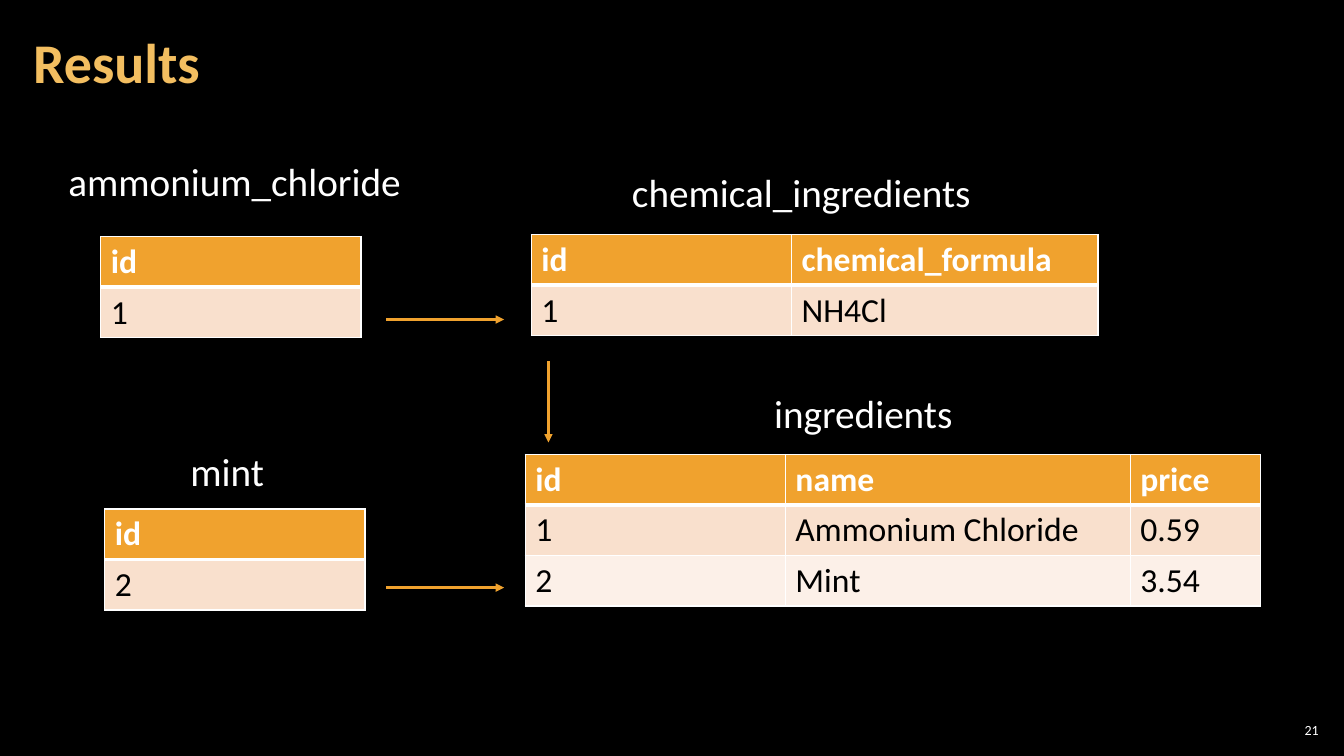
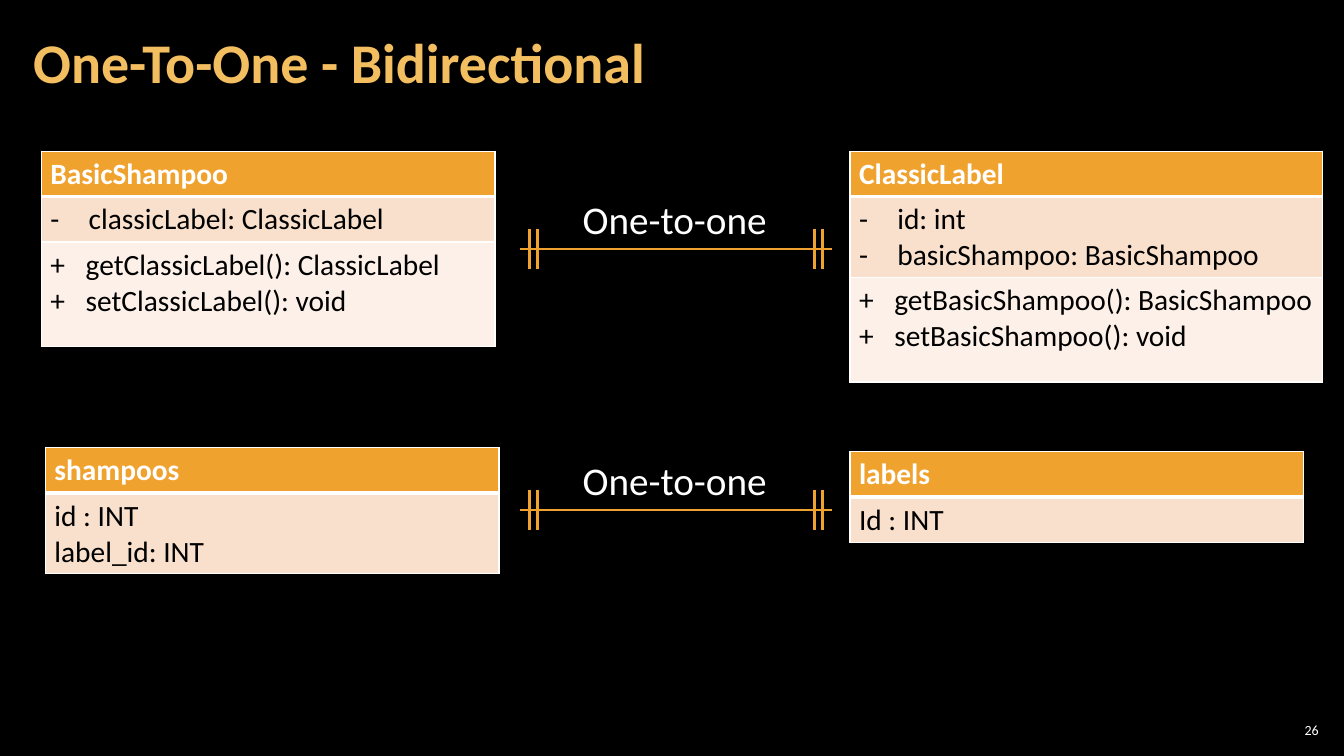
from lxml.etree import SubElement
from pptx import Presentation
from pptx.dml.color import RGBColor
from pptx.enum.shapes import MSO_CONNECTOR
from pptx.enum.text import MSO_ANCHOR as Anchor, PP_ALIGN as Align
from pptx.oxml import parse_xml
from pptx.oxml.ns import nsdecls, qn
from pptx.util import Inches, Pt

COLORS = {
    "background": "000000", "title": "F3BE60", "accent": "F0A22E",
    "light": "FFFFFF", "dark": "000000",
    "band_1": "F9E0CD", "band_2": "FCF0E8",
}
FONT = "Calibri"
TITLE = {"size": 40, "bold": True, "color": "title"}
LABEL = {"size": 28, "bold": False, "color": "light"}
NUMBER = {"size": 10, "bold": False, "color": "light"}
BULLET_INDENTS = {"-": 0.38, "+": 0.35}

# Each cell is a list of lines; a line is text or (bullet, text).
RESULTS = {
    "title": "Results", "number": "21", "size": 24, "margin": 0.1,
    "tables": [
        {"at": (5.27, 2.33), "columns": [2.58, 3.04], "heights": [0.5, 0.5],
         "rows": [[["id"], ["chemical_formula"]], [["1"], ["NH4Cl"]]]},
        {"at": (5.21, 4.51), "columns": [2.58, 3.42, 1.29], "heights": [0.5] * 3,
         "rows": [[["id"], ["name"], ["price"]],
                  [["1"], ["Ammonium Chloride"], ["0.59"]],
                  [["2"], ["Mint"], ["3.54"]]]},
        {"at": (1, 2.35), "columns": [2.58], "heights": [0.5, 0.5],
         "rows": [[["id"]], [["1"]]]},
        {"at": (1.04, 5.05), "columns": [2.58], "heights": [0.5, 0.5],
         "rows": [[["id"]], [["2"]]]},
    ],
    "labels": [
        ("ingredients", (7.58, 3.81, 2, 0.57)),
        ("chemical_ingredients", (6.17, 1.62, 3.83, 0.57)),
        ("ammonium_chloride", (0.58, 1.51, 3.83, 0.57)),
        ("mint", (1.79, 4.39, 1, 0.57)),
    ],
    "arrows": [(3.83, 5.83, 5, 5.83), (3.83, 3.17, 5, 3.17), (5.44, 3.58, 5.44, 4.39)],
    "relations": [],
}
BIDIRECTIONAL = {
    "title": "One-To-One - Bidirectional", "number": "26", "size": 21, "margin": 0.09,
    "tables": [
        {"at": (0.41, 1.5), "columns": [4.5], "heights": [0.44, 0.45, 1.04],
         "rows": [[["BasicShampoo"]],
                  [[("-", "classicLabel: ClassicLabel")]],
                  [[("+", "getClassicLabel(): ClassicLabel"),
                    ("+", "setClassicLabel(): void")]]]},
        {"at": (8.43, 1.5), "columns": [4.69], "heights": [0.44, 0.8, 1.04],
         "rows": [[["ClassicLabel"]],
                  [[("-", "id: int"), ("-", "basicShampoo: BasicShampoo")]],
                  [[("+", "getBasicShampoo(): BasicShampoo"),
                    ("+", "setBasicShampoo(): void")]]]},
        {"at": (0.45, 4.44), "columns": [4.5], "heights": [0.44, 0.8],
         "rows": [[["shampoos"]], [["id : INT", "label_id: INT"]]]},
        {"at": (8.43, 4.48), "columns": [4.5], "heights": [0.44, 0.45],
         "rows": [[["labels"]], [["Id : INT"]]]},
    ],
    "labels": [],
    "arrows": [],
    "relations": [("One-to-one", 2.47), ("One-to-one", 5.06)],
}


def rgb(name):
    return RGBColor.from_string(COLORS[name])


def write(para, text, size, bold, color):
    span = para.add_run()
    span.text = text
    for name, value in {"name": FONT, "size": Pt(size), "bold": bold}.items():
        setattr(span.font, name, value)
    span.font.color.rgb = rgb(color)


def add_text(page, text, place, style, margins=(0.1, 0.05), wrap=True,
             anchor=Anchor.TOP, align=Align.LEFT, spacing=1.0):
    frame = page.shapes.add_textbox(*map(Inches, place)).text_frame
    across, down = map(Inches, margins)
    settings = {
        "word_wrap": wrap, "vertical_anchor": anchor,
        "margin_left": across, "margin_right": across,
        "margin_top": down, "margin_bottom": down,
    }
    for name, value in settings.items():
        setattr(frame, name, value)
    para = frame.paragraphs[0]
    para.alignment, para.line_spacing = align, spacing
    write(para, text, **style)


def add_line(page, ends, arrow=False):
    line = page.shapes.add_connector(MSO_CONNECTOR.STRAIGHT, *map(Inches, ends))
    line.line.color.rgb = rgb("accent")
    line.line.width = Pt(2)
    if arrow:
        SubElement(line.line._get_or_add_ln(), qn("a:tailEnd"), type="triangle")
    SubElement(line._element.spPr, qn("a:effectLst"))


def set_borders(cell, row):
    """Thin white edges, with a thick rule between the header and the body."""
    widths = {"L": 1, "R": 1, "T": 3 if row == 1 else 1, "B": 3 if row == 0 else 1}
    properties = cell._tc.get_or_add_tcPr()
    for position, (side, width) in enumerate(widths.items()):
        properties.insert(position, parse_xml(
            f'<a:ln{side} {nsdecls("a")} w="{Pt(width)}"><a:solidFill>'
            f'<a:srgbClr val="{COLORS["light"]}"/></a:solidFill></a:ln{side}>'))


def set_bullet(para, bullet):
    indent = Inches(BULLET_INDENTS[bullet])
    properties = para._p.get_or_add_pPr()
    properties.set("marL", str(indent))
    properties.set("indent", str(-indent))
    SubElement(properties, qn("a:buFont"), typeface=FONT)
    SubElement(properties, qn("a:buChar"), char=bullet)


def fill_cell(cell, lines, row, size, margin):
    header = row == 0
    cell.margin_left = cell.margin_right = Inches(margin)
    cell.margin_top = cell.margin_bottom = Inches(0.05)
    cell.fill.solid()
    cell.fill.fore_color.rgb = rgb("accent" if header else f"band_{row}")
    set_borders(cell, row)
    for index, line in enumerate(lines):
        frame = cell.text_frame
        para = frame.add_paragraph() if index else frame.paragraphs[0]
        bullet, text = line if isinstance(line, tuple) else (None, line)
        if bullet:
            set_bullet(para, bullet)
        write(para, text, size, header, "light" if header else "dark")


def add_grid(page, content, size, margin):
    rows, columns, heights = content["rows"], content["columns"], content["heights"]
    place = (*content["at"], sum(columns), sum(heights))
    table = page.shapes.add_table(len(rows), len(columns), *map(Inches, place)).table
    table.horz_banding = False
    for column, width in zip(table.columns, columns):
        column.width = Inches(width)
    for row, height in enumerate(heights):
        table.rows[row].height = Inches(height)
        for column, lines in enumerate(rows[row]):
            fill_cell(table.cell(row, column), lines, row, size, margin)


def add_relation(page, text, y):
    """A line with a double bar near each end and its name above."""
    add_line(page, (5.16, y, 8.25, y))
    for x in (5.25, 5.33, 8.08, 8.16):
        add_line(page, (x, y - 0.2, x, y + 0.2))
    add_text(page, text, (5.68, y - 0.58, 2.05, 0.57), LABEL, wrap=False)


def add_page(deck, content):
    page = deck.slides.add_slide(deck.slide_layouts[6])
    page.background.fill.solid()
    page.background.fill.fore_color.rgb = rgb("background")
    add_text(page, content["number"], (12.65, 7.14, 0.47, 0.21), NUMBER,
             margins=(0.04, 0.04), anchor=Anchor.MIDDLE, align=Align.RIGHT)
    add_text(page, content["title"], (0.21, 0.04, 10.47, 1.21), TITLE,
             margins=(0.12, 0.04), anchor=Anchor.MIDDLE, spacing=0.9)
    for table in content["tables"]:
        add_grid(page, table, content["size"], content["margin"])
    for text, place in content["labels"]:
        add_text(page, text, place, LABEL)
    for ends in content["arrows"]:
        add_line(page, ends, arrow=True)
    for text, y in content["relations"]:
        add_relation(page, text, y)


def main():
    deck = Presentation()
    deck.slide_width, deck.slide_height = Inches(13.33), Inches(7.5)
    for content in (RESULTS, BIDIRECTIONAL):
        add_page(deck, content)
    deck.save("out.pptx")


if __name__ == "__main__":
    main()
